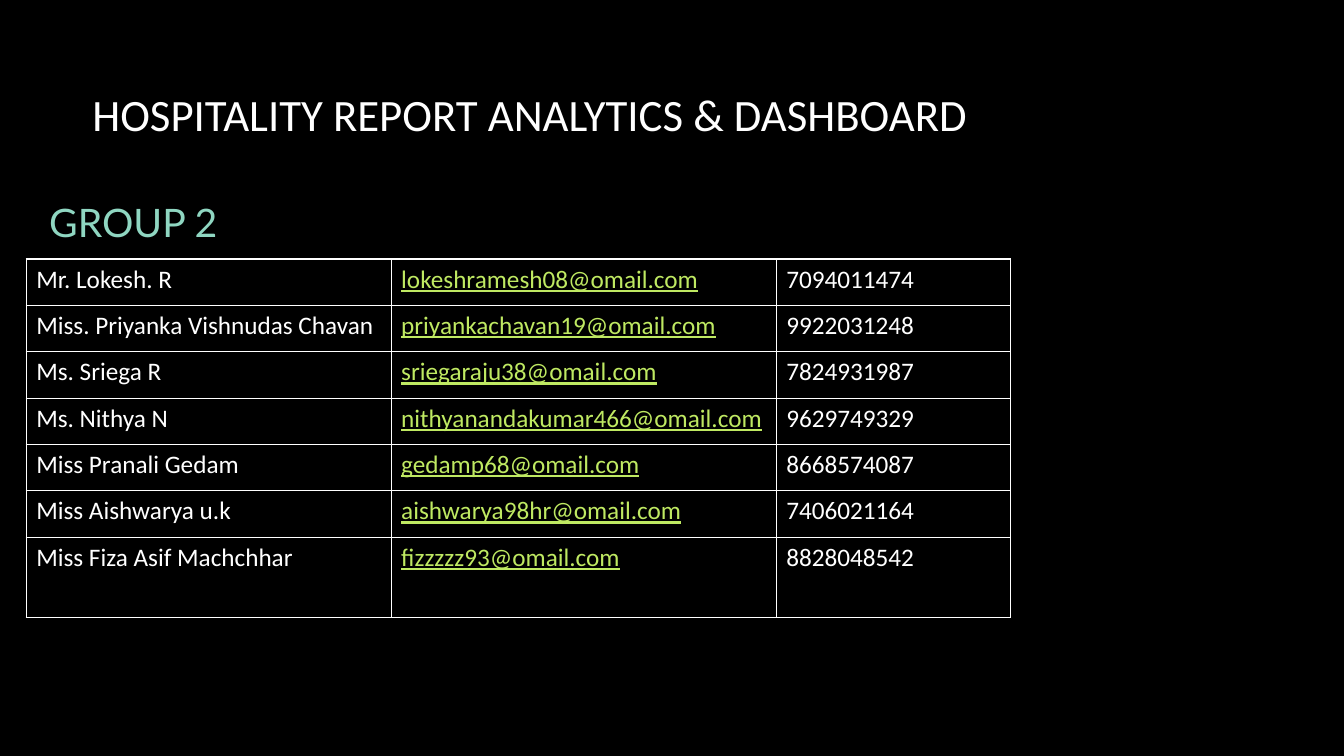
from dataclasses import dataclass

from lxml import etree
from pptx import Presentation
from pptx.dml.color import RGBColor
from pptx.enum.text import MSO_ANCHOR, PP_ALIGN
from pptx.oxml.ns import qn
from pptx.util import Inches, Pt

BOTTOM = MSO_ANCHOR.BOTTOM
LEFT, CENTER = PP_ALIGN.LEFT, PP_ALIGN.CENTER


@dataclass(frozen=True)
class Theme:
    back: str = "000000"
    text: str = "FFFFFF"
    link: str = "BFE962"
    group: str = "8FD6C1"
    body_font: str = "Calibri"
    group_font: str = "Lato"
    title_size: int = 32
    group_size: int = 28
    cell_size: int = 18
    rule: int = 1


@dataclass(frozen=True)
class Heading:
    text: str
    left: float
    top: float
    font: str
    size: int
    color: str
    align: PP_ALIGN


@dataclass(frozen=True)
class Member:
    name: str
    mail: str
    phone: str


THEME = Theme()
HEADINGS = [
    Heading("HOSPITALITY REPORT ANALYTICS & DASHBOARD", 0.51, 0.5,
            THEME.body_font, THEME.title_size, THEME.text, CENTER),
    Heading("GROUP 2", 0.39, 1.54,
            THEME.group_font, THEME.group_size, THEME.group, LEFT),
]
MEMBERS = [
    Member("Mr. Lokesh. R", "lokeshramesh08@omail.com", "7094011474"),
    Member("Miss. Priyanka Vishnudas Chavan", "priyankachavan19@omail.com", "9922031248"),
    Member("Ms. Sriega R", "sriegaraju38@omail.com", "7824931987"),
    Member("Ms. Nithya N", "nithyanandakumar466@omail.com", "9629749329"),
    Member("Miss Pranali Gedam", "gedamp68@omail.com", "8668574087"),
    Member("Miss Aishwarya u.k", "aishwarya98hr@omail.com", "7406021164"),
    Member("Miss Fiza Asif Machchhar", "fizzzzz93@omail.com", "8828048542"),
]
WIDTHS = [3.62, 3.82, 2.32]
HEIGHTS = [0.46] * (len(MEMBERS) - 1) + [0.8]


def style(para, font: str, size: int, color: str) -> None:
    for run in para.runs:
        run.font.name = font
        run.font.size = Pt(size)
        run.font.color.rgb = RGBColor.from_string(color)


def add_heading(slide, head: Heading) -> None:
    box = slide.shapes.add_textbox(
        Inches(head.left), Inches(head.top), Inches(9.5), Inches(0.95))
    frame = box.text_frame
    frame.word_wrap = True
    frame.vertical_anchor = BOTTOM
    frame.text = head.text
    para = frame.paragraphs[0]
    para.alignment = head.align
    para.line_spacing = 0.9
    style(para, head.font, head.size, head.color)


def add_border(cell) -> None:
    props = cell._tc.get_or_add_tcPr()
    for side in ("a:lnL", "a:lnR", "a:lnT", "a:lnB"):
        line = etree.SubElement(props, qn(side), w=str(Pt(THEME.rule)))
        fill = etree.SubElement(line, qn("a:solidFill"))
        etree.SubElement(fill, qn("a:srgbClr"), val=THEME.text)


def fill_cell(cell, text: str, is_mail: bool) -> None:
    add_border(cell)
    cell.fill.background()
    cell.text_frame.text = text
    para = cell.text_frame.paragraphs[0]
    style(para, THEME.body_font, THEME.cell_size,
          THEME.link if is_mail else THEME.text)
    para.runs[0].font.underline = is_mail


def add_members(slide) -> None:
    table = slide.shapes.add_table(
        len(MEMBERS), len(WIDTHS), Inches(0.26), Inches(2.57),
        Inches(sum(WIDTHS)), Inches(sum(HEIGHTS))).table
    table.first_row = False
    table.horz_banding = False
    for col, width in zip(table.columns, WIDTHS):
        col.width = Inches(width)
    for row, height, member in zip(table.rows, HEIGHTS, MEMBERS):
        row.height = Inches(height)
        values = (member.name, member.mail, member.phone)
        for cell, text in zip(row.cells, values):
            fill_cell(cell, text, text == member.mail)


def main() -> None:
    deck = Presentation()
    deck.slide_width, deck.slide_height = Inches(13.33), Inches(7.5)
    slide = deck.slides.add_slide(deck.slide_layouts[6])

    # Background
    fill = slide.background.fill
    fill.solid()
    fill.fore_color.rgb = RGBColor.from_string(THEME.back)

    # Title and group name
    for head in HEADINGS:
        add_heading(slide, head)

    # Member contacts
    add_members(slide)
    deck.save("out.pptx")


if __name__ == "__main__":
    main()
